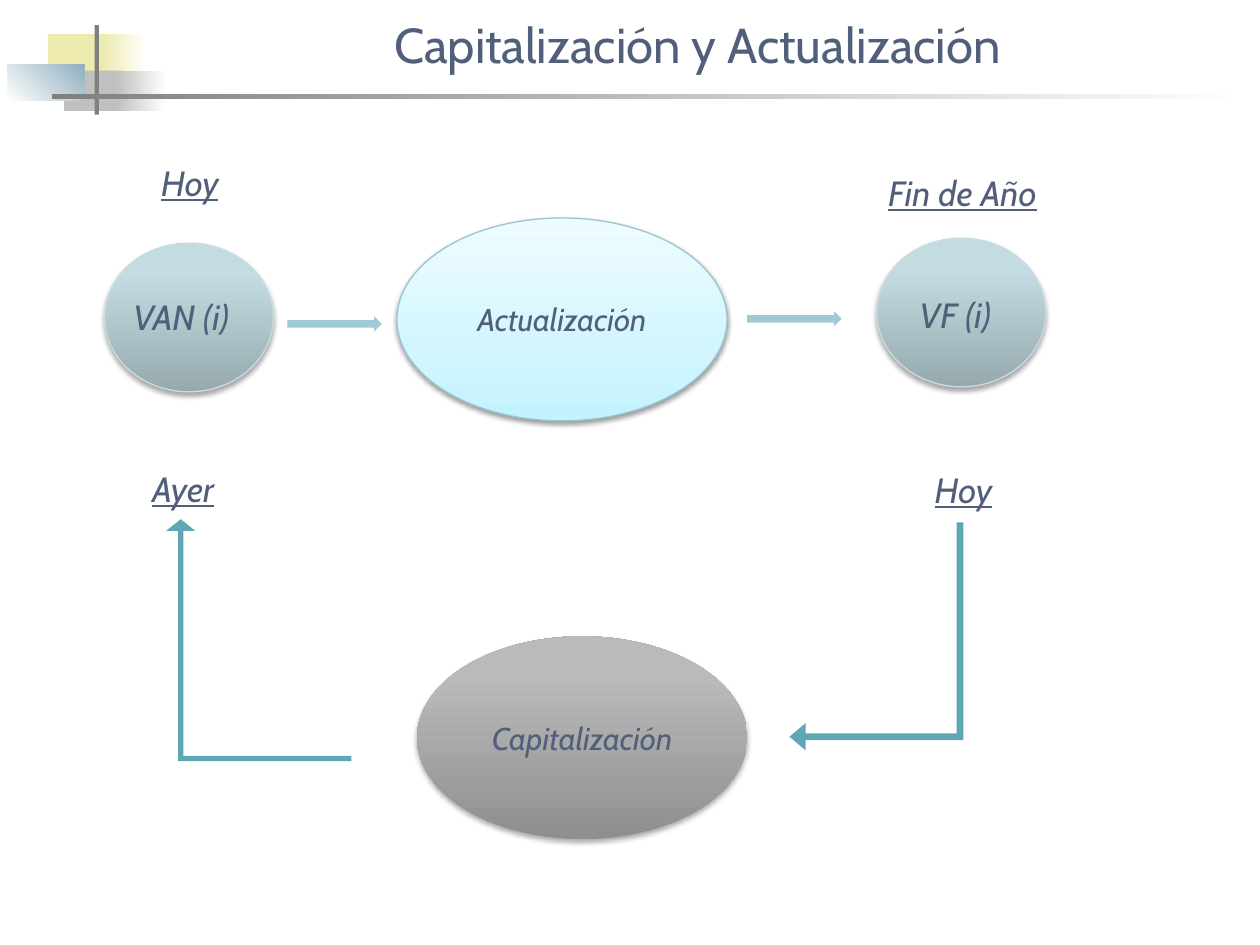
import dataclasses

import lxml.etree
import pptx
import pptx.dml.color
import pptx.enum.shapes
import pptx.enum.text
import pptx.oxml
import pptx.oxml.ns
import pptx.util

KINDS = pptx.enum.shapes.MSO_SHAPE
COLUMNS, ROWS = 100, 75  # square cells over the whole slide
WIDTH, HEIGHT = pptx.util.Inches(10), pptx.util.Inches(7.5)


@dataclasses.dataclass(frozen=True)
class Theme:
    font: str = "Cabin"
    ink: str = "515F7B"
    title: int = 28
    label: int = 20
    process: int = 18
    yellow: str = "ECEAAC"
    silver: str = "C0C0C0"
    steel: str = "91AFBF"
    gray: str = "808080"
    white: str = "FFFFFF"
    arrow: str = "9FCAD3"
    bent_arrow: str = "60A7B6"
    value_line: str = "C8DCE2"
    update_line: str = "9AC6D0"
    # Gradients: (position in percent, colour), from the bottom upwards
    value_fill: tuple = ((0, "96AAAE"), (80, "C3DCE2"), (100, "C3DEE4"))
    update_fill: tuple = ((0, "C2F3FF"), (35, "D3F6FE"), (100, "EEFCFF"))
    capital_fill: tuple = ((0, "8F8F8F"), (80, "BABABA"), (100, "BBBBBB"))


THEME = Theme()


@dataclasses.dataclass(frozen=True)
class Box:
    """An area of the slide in grid columns and rows."""
    left: float
    top: float
    width: float
    height: float

    def inner(self, left, top, width, height):
        return Box(self.left + left, self.top + top, width, height)

    def lengths(self):
        return (int(self.left * WIDTH / COLUMNS), int(self.top * HEIGHT / ROWS),
                int(self.width * WIDTH / COLUMNS), int(self.height * HEIGHT / ROWS))


def color(value):
    return pptx.dml.color.RGBColor.from_string(value)


def paint(shape, fill, angle=0):
    """Fill with one colour, or with gradient stops at a clockwise angle."""
    if isinstance(fill, str):
        shape.fill.solid()
        shape.fill.fore_color.rgb = color(fill)
        return
    shape.fill.gradient()
    shape.fill.gradient_angle = (360 - angle) % 360
    stops = shape._element.spPr.find(".//" + pptx.oxml.ns.qn("a:gsLst"))
    for old in list(stops):
        stops.remove(old)
    for position, value in fill:
        stop = lxml.etree.SubElement(stops, pptx.oxml.ns.qn("a:gs"), pos=str(position * 1000))
        lxml.etree.SubElement(stop, pptx.oxml.ns.qn("a:srgbClr"), val=value)


def add_shadow(shape, opacity, distance):
    effects = shape._element.spPr.find(pptx.oxml.ns.qn("a:effectLst"))
    effects.append(pptx.oxml.parse_xml(
        f'<a:outerShdw {pptx.oxml.ns.nsdecls("a")} blurRad="{pptx.util.Pt(3.1)}" '
        f'dist="{pptx.util.Pt(distance)}" dir="5400000" rotWithShape="0">'
        f'<a:srgbClr val="000000"><a:alpha val="{opacity * 1000}"/></a:srgbClr>'
        '</a:outerShdw>'))


def add_form(shapes, kind, box, fill, angle=0, line=None):
    shape = shapes.add_shape(kind, *box.lengths())
    shape.shadow.inherit = False
    paint(shape, fill, angle)
    if line:
        shape.line.color.rgb = color(line)
        shape.line.width = pptx.util.Pt(0.75)
    else:
        shape.line.fill.background()
    return shape


def write(para, text, size, **formats):
    span = para.add_run()
    span.text = text
    span.font.color.rgb = color(THEME.ink)
    values = {"name": THEME.font, "size": pptx.util.Pt(size), **formats}
    for name, value in values.items():
        setattr(span.font, name, value)


def add_label(page, box, text, size=THEME.label, **formats):
    frame = page.shapes.add_textbox(*box.lengths()).text_frame
    frame.word_wrap = False
    frame.auto_size = pptx.enum.text.MSO_AUTO_SIZE.SHAPE_TO_FIT_TEXT
    write(frame.paragraphs[0], text, size, **formats)


def add_value(page, box, text, text_box):
    circle = add_form(page.shapes, KINDS.OVAL, box, THEME.value_fill, 270, THEME.value_line)
    add_shadow(circle, 35, 1.8)
    add_label(page, text_box, text, italic=True)


def add_process(page, box, text, fill, line=None, opacity=35, distance=1.8):
    oval = add_form(page.shapes, KINDS.OVAL, box, fill, 270, line)
    add_shadow(oval, opacity, distance)
    frame = oval.text_frame
    frame.vertical_anchor = pptx.enum.text.MSO_ANCHOR.MIDDLE
    para = frame.paragraphs[0]
    para.alignment = pptx.enum.text.PP_ALIGN.CENTER
    write(para, text, THEME.process, italic=True)


def add_bent_arrow(page, box, adjustments, rotation=0):
    arrow = add_form(page.shapes, KINDS.BENT_UP_ARROW, box, THEME.bent_arrow)
    for index, value in enumerate(adjustments):
        arrow.adjustments[index] = value
    arrow.rotation = rotation
    arrow._element.spPr.xfrm.set("flipH", "1")


def build_motif(page, box):
    """Overlapping blocks and the fading rule."""
    group = page.shapes.add_group_shape()

    def fade(start, end):
        return (0, start), (100, end)

    parts = (
        ((3.8, 2.7, 4.8, 3.2), THEME.yellow, 0),
        ((8, 2.7, 3.6, 3.2), fade(THEME.yellow, THEME.white), 0),
        ((5.1, 5.6, 4.6, 3.2), THEME.silver, 0),
        ((9.2, 5.6, 4, 3.2), fade(THEME.silver, THEME.white), 0),
        ((0.6, 5.1, 6.1, 2.9), fade(THEME.white, THEME.steel), 315),
        ((7.5, 2, 0.35, 7.1), THEME.gray, 0),
        ((4.1, 7.5, 95.1, 0.4), fade(THEME.gray, THEME.white), 0),
    )
    for place, fill, angle in parts:
        add_form(group.shapes, KINDS.RECTANGLE, box.inner(*place), fill, angle)


def build_title(page, box):
    add_label(page, box, "Capitalización y Actualización", THEME.title)


def build_update(page, box):
    """Upper row: from present value to future value."""
    add_value(page, box.inner(0, 7, 13.4, 11.8), "VAN (i)", box.inner(1.3, 10.7, 10.8, 4.4))
    add_value(page, box.inner(61.3, 6.6, 13.4, 11.8), "VF (i)", box.inner(63.7, 10.5, 8.8, 4.4))
    add_process(page, box.inner(23.2, 5, 26.2, 16.1), "Actualización",
                THEME.update_fill, THEME.update_line, 38, 1.6)
    for left, top in ((14.5, 12.8), (51, 12.4)):
        add_form(page.shapes, KINDS.RIGHT_ARROW, box.inner(left, top, 7.5, 1.2), THEME.arrow)
    for text, place in (("Hoy", (3.5, 0, 6.8, 4.4)), ("Fin de Año", (61.2, 0.8, 15.2, 4.4))):
        add_label(page, box.inner(*place), text, italic=True, underline=True)


def build_capitalization(page, box):
    """Lower row: from today back to yesterday."""
    add_process(page, box.inner(24.8, 13.9, 26.2, 16.1), "Capitalización", THEME.capital_fill)
    add_bent_arrow(page, box.inner(4.9, 4.6, 14.7, 19.2), (0.028, 0.078, 0.063))
    add_bent_arrow(page, box.inner(52.2, 7, 18.1, 13.8), (0.039, 0.078, 0.093), 270)
    for text, place in (("Ayer", (2.8, 0, 7.5, 4.4)), ("Hoy", (64.9, 0.1, 6.8, 4.4))):
        add_label(page, box.inner(*place), text, italic=True, underline=True)


def main():
    deck = pptx.Presentation()
    deck.slide_width, deck.slide_height = WIDTH, HEIGHT
    page = deck.slides.add_slide(deck.slide_layouts[6])
    build_motif(page, Box(0, 0, COLUMNS, 10))
    build_title(page, Box(30.3, 0.7, 52.3, 5.7))
    build_update(page, Box(8.3, 12.3, 76.4, 21.1))
    build_capitalization(page, Box(8.3, 36.6, 76.4, 30))
    deck.save("out.pptx")


if __name__ == "__main__":
    main()
